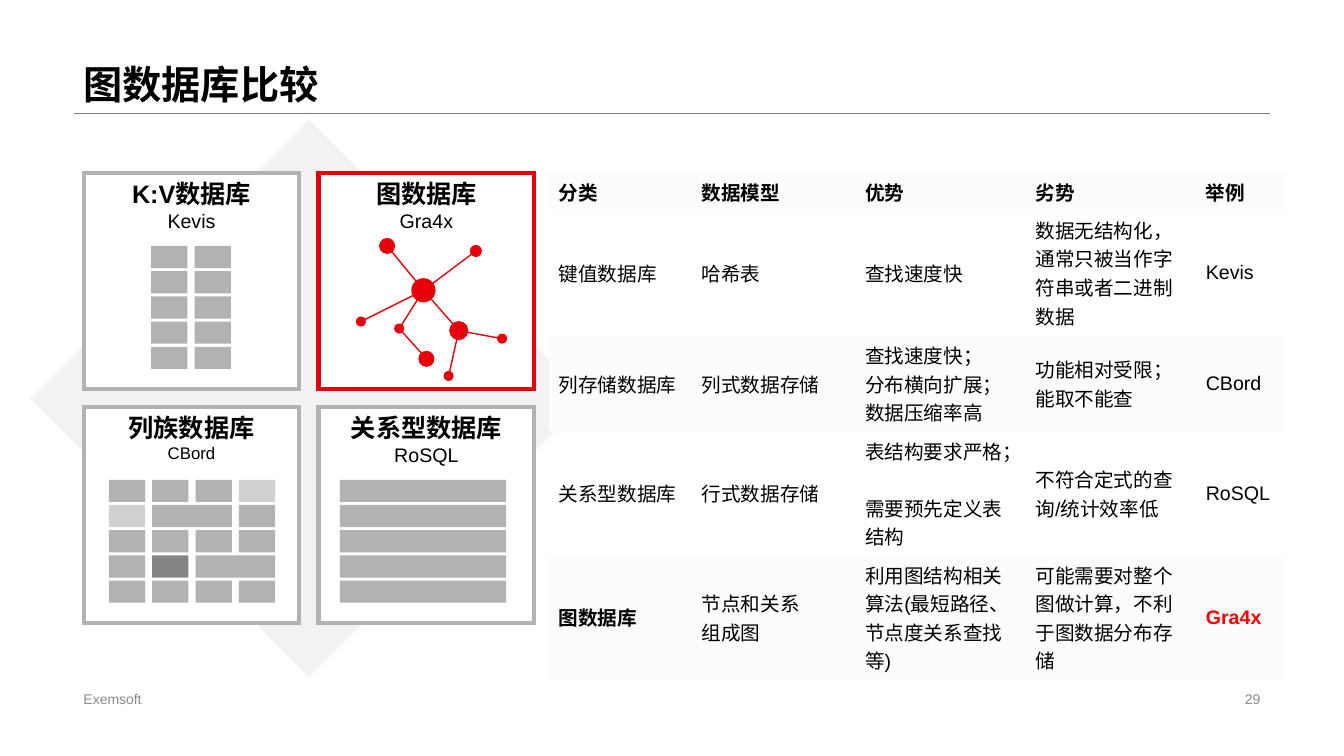
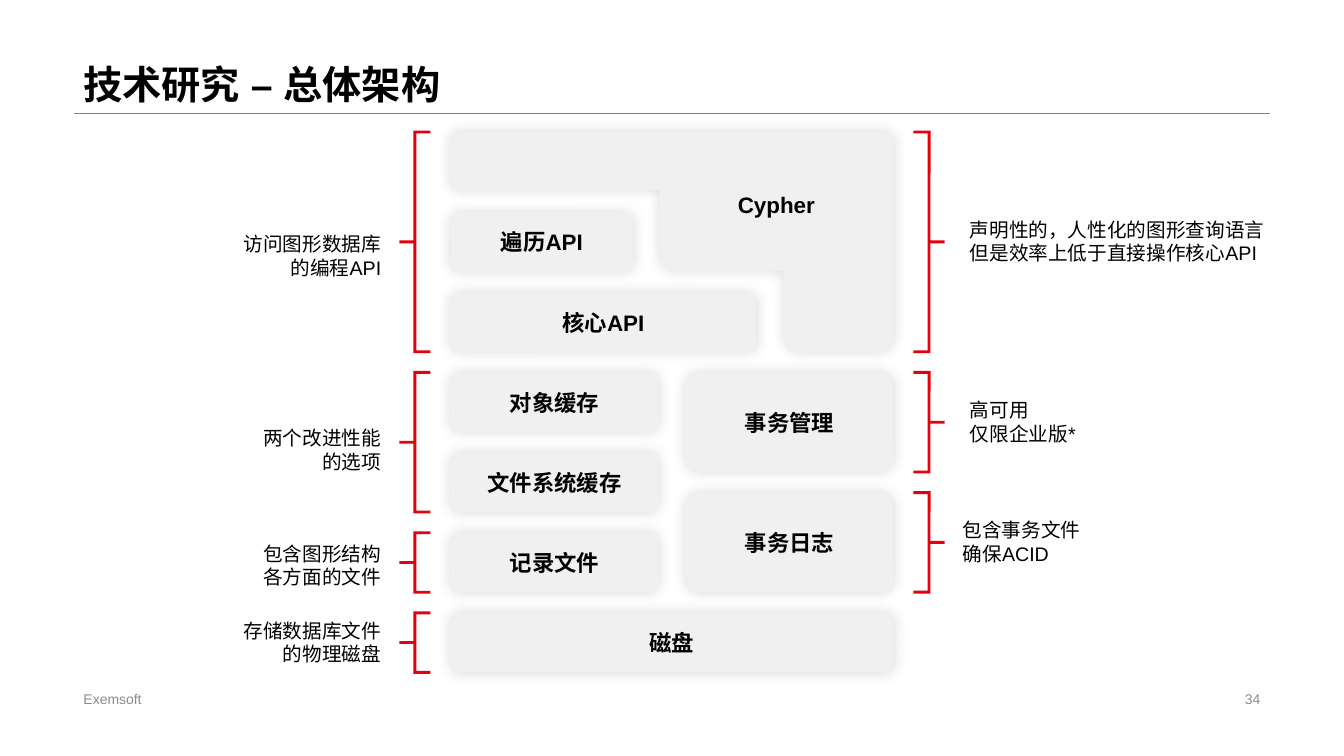
from collections import namedtuple
from math import cos, hypot, pi, sin

from lxml.etree import SubElement
from pptx import Presentation
from pptx.dml.color import RGBColor
from pptx.enum.lang import MSO_LANGUAGE_ID
from pptx.enum.shapes import MSO_CONNECTOR, MSO_SHAPE
from pptx.enum.text import MSO_ANCHOR, PP_ALIGN
from pptx.oxml.ns import qn
from pptx.util import Inches, Pt

COLORS = {
    "black": "000000", "white": "FFFFFF", "red": "E5000C", "bright_red": "FF0000",
    "rule": "808080", "footer": "8C8C8C", "backdrop": "F2F2F2", "panel": "F0F0F0",
    "band": "FCFCFC", "gray": "B2B2B2", "light": "D1D1D1", "dark": "858585",
}
FONT = "Arial"
COMPANY = "Exemsoft"
PLAIN_TABLE_STYLE = "{2D5ABB26-0587-4C30-8999-92F81FD0307C}"
Box = namedtuple("Box", "left top width height")

TITLE_BOX = Box(0.73, 0, 11.87, 1.12)
FOOTER_BOX = Box(0.73, 6.82, 4.53, 0.23)
NUMBER_BOX = Box(9.42, 6.82, 3.18, 0.23)

BLOCK_WIDTH, BLOCK_HEIGHT = 0.36, 0.22
BLOCK_PITCH_X, BLOCK_PITCH_Y = 0.43, 0.25
PLAIN = (1, "gray")
KEY_VALUE_ROWS = [[PLAIN, PLAIN]] * 5
COLUMN_FAMILY_ROWS = [
    [PLAIN, PLAIN, PLAIN, (1, "light")],
    [(1, "light"), (2, "gray"), PLAIN],
    [PLAIN] * 4,
    [PLAIN, (1, "dark"), (2, "gray")],
    [PLAIN] * 4,
]
RELATIONAL_ROWS = [[(4, "gray")]] * 5

# Centre x, centre y and diameter, inside the card
NODES = {
    "hub": (1.04, 1.16, 0.24), "junction": (1.39, 1.56, 0.19),
    "top left": (0.68, 0.72, 0.16), "top right": (1.56, 0.77, 0.12),
    "left": (0.42, 1.47, 0.1), "middle": (0.8, 1.54, 0.1),
    "lower": (1.07, 1.84, 0.16), "right": (1.82, 1.64, 0.1),
    "bottom": (1.29, 2.01, 0.1),
}
EDGES = [
    ("hub", "top left"), ("hub", "top right"), ("hub", "left"), ("hub", "middle"),
    ("hub", "junction"), ("middle", "lower"), ("junction", "right"), ("junction", "bottom"),
]

TABLE_COLUMNS = [1.42, 1.62, 1.69, 1.69, 0.89]
TABLE_HEIGHTS = [0.37, 1.25, 0.95, 1.23, 1.23]
TABLE_ROWS = [
    ["分类", "数据模型", "优势", "劣势", "举例"],
    ["键值数据库", "哈希表", "查找速度快",
     "数据无结构化，通常只被当作字符串或者二进制数据", "Kevis"],
    ["列存储数据库", "列式数据存储", "查找速度快；\v分布横向扩展；\v数据压缩率高",
     "功能相对受限；\v能取不能查", "CBord"],
    ["关系型数据库", "行式数据存储", "表结构要求严格；\v需要预先定义表结构",
     "不符合定式的查询/统计效率低", "RoSQL"],
    ["图数据库", "节点和关系\n组成图", "利用图结构相关算法(最短路径、节点度关系查找等)",
     "可能需要对整个图做计算，不利于图数据分布存储", "Gra4x"],
]

ROW_HEIGHT, ROW_COUNT = 0.59, 7


def rgb(name):
    return RGBColor.from_string(COLORS[name])


def emu(box):
    return [Inches(length) for length in box]


def add_run(paragraph, text, size, color="black", bold=False, asian_font=FONT):
    run = paragraph.add_run()
    run.text = text
    font = run.font
    font.name, font.size, font.bold = FONT, Pt(size), bold
    font.color.rgb = rgb(color)
    font.language_id = MSO_LANGUAGE_ID.SIMPLIFIED_CHINESE
    if asian_font:
        SubElement(run._r.get_or_add_rPr(), qn("a:ea"), typeface=asian_font)


def add_break(paragraph, size):
    paragraph.add_line_break()
    line_break = paragraph._p.findall(qn("a:br"))[-1]
    properties = SubElement(line_break, qn("a:rPr"), lang="zh-CN", sz=str(size * 100))
    SubElement(properties, qn("a:latin"), typeface=FONT)


def write(frame, text, size, align=PP_ALIGN.LEFT, **style):
    """Write text: a newline starts a paragraph, a vertical tab breaks the line."""
    for index, line in enumerate(text.split("\n")):
        paragraph = frame.add_paragraph() if index else frame.paragraphs[0]
        paragraph.alignment = align
        for part_index, part in enumerate(line.split("\v")):
            if part_index:
                add_break(paragraph, size)
            add_run(paragraph, part, size, **style)


def add_text(slide, box, text, size, anchor=MSO_ANCHOR.MIDDLE, **style):
    frame = slide.shapes.add_textbox(*emu(box)).text_frame
    frame.word_wrap = True
    frame.vertical_anchor = anchor
    write(frame, text, size, **style)
    return frame


def paint(shape, fill=None, line=None, width=1):
    shape.shadow.inherit = False
    if fill:
        shape.fill.solid()
        shape.fill.fore_color.rgb = rgb(fill)
    else:
        shape.fill.background()
    if line:
        shape.line.color.rgb = rgb(line)
        shape.line.width = Pt(width)
        SubElement(shape._element.spPr.find(qn("a:ln")), qn("a:miter"), lim="800000")
    else:
        shape.line.fill.background()


def add_shape(slide, kind, box, **look):
    shape = slide.shapes.add_shape(kind, *emu(box))
    paint(shape, **look)
    return shape


def add_line(slide, start, end, color, width):
    connector = slide.shapes.add_connector(MSO_CONNECTOR.STRAIGHT, *emu(start + end))
    connector.line.color.rgb = rgb(color)
    connector.line.width = Pt(width)
    SubElement(connector._element.spPr, qn("a:effectLst"))


def add_soft_shadow(shape):
    effects = shape._element.spPr.find(qn("a:effectLst"))
    shadow = SubElement(effects, qn("a:outerShdw"), blurRad=str(Pt(10)), dist="0",
                        algn="ctr", rotWithShape="0")
    color = SubElement(shadow, qn("a:srgbClr"), val=COLORS["black"])
    SubElement(color, qn("a:alpha"), val="15000")


def add_base_slide(presentation, title, number):
    slide = presentation.slides.add_slide(presentation.slide_layouts[6])
    rule_y = TITLE_BOX.top + TITLE_BOX.height
    add_line(slide, (TITLE_BOX.left, rule_y),
             (TITLE_BOX.left + TITLE_BOX.width, rule_y), "rule", 0.25)
    frame = add_text(slide, TITLE_BOX, title, 28, anchor=MSO_ANCHOR.BOTTOM, bold=True)
    frame.paragraphs[0].line_spacing = 0.9
    add_text(slide, FOOTER_BOX, COMPANY, 10, color="footer")
    add_text(slide, NUMBER_BOX, str(number), 10, color="footer", align=PP_ALIGN.RIGHT)
    return slide


def add_card(slide, box, heading, example, example_size, border="gray"):
    card = add_shape(slide, MSO_SHAPE.RECTANGLE, box, fill="white", line=border, width=3)
    frame = card.text_frame
    frame.word_wrap = True
    frame.vertical_anchor = MSO_ANCHOR.TOP
    write(frame, heading, 18, align=PP_ALIGN.CENTER, bold=True)
    paragraph = frame.add_paragraph()
    paragraph.alignment = PP_ALIGN.CENTER
    add_run(paragraph, example, example_size)


def add_blocks(slide, left, top, rows):
    """Fill a grid from rows of (columns spanned, shade)."""
    for row_index, row in enumerate(rows):
        column = 0
        for span, shade in row:
            block = Box(left + column * BLOCK_PITCH_X, top + row_index * BLOCK_PITCH_Y,
                        BLOCK_WIDTH + (span - 1) * BLOCK_PITCH_X, BLOCK_HEIGHT)
            add_shape(slide, MSO_SHAPE.RECTANGLE, block, fill=shade)
            column += span


def add_network(slide, box):
    def centre(name):
        return box.left + NODES[name][0], box.top + NODES[name][1]

    for start, end in EDGES:
        add_line(slide, centre(start), centre(end), "red", 1)
    for name, (_, _, size) in NODES.items():
        x, y = centre(name)
        add_shape(slide, MSO_SHAPE.OVAL, Box(x - size / 2, y - size / 2, size, size),
                  fill="red")


def add_database_cards(slide, box):
    add_shape(slide, MSO_SHAPE.DIAMOND, box, fill="backdrop")
    size, pitch_x, pitch_y = 2.14, 2.33, 2.32
    cards = [
        (0, 0, "K:V数据库", "Kevis", 14, 0.67, KEY_VALUE_ROWS),
        (1, 0, "图数据库", "Gra4x", 14, 0, None),
        (0, 1, "列族数据库", "CBord", 12, 0.25, COLUMN_FAMILY_ROWS),
        (1, 1, "关系型数据库", "RoSQL", 14, 0.21, RELATIONAL_ROWS),
    ]
    for column, row, heading, example, example_size, indent, blocks in cards:
        card = Box(box.left + 0.53 + column * pitch_x, box.top + 0.53 + row * pitch_y,
                   size, size)
        add_card(slide, card, heading, example, example_size, "gray" if blocks else "red")
        if blocks:
            add_blocks(slide, card.left + indent, card.top + 0.72, blocks)
        else:
            add_network(slide, card)


def add_comparison_table(slide, box):
    frame = slide.shapes.add_table(len(TABLE_ROWS), len(TABLE_COLUMNS), *emu(box))
    table = frame.table
    table.first_row = table.horz_banding = False
    next(frame._element.iter(qn("a:tableStyleId"))).text = PLAIN_TABLE_STYLE
    for column, width in zip(table.columns, TABLE_COLUMNS):
        column.width = Inches(width)
    for row, height in zip(table.rows, TABLE_HEIGHTS):
        row.height = Inches(height)
    last_row, last_column = len(TABLE_ROWS) - 1, len(TABLE_COLUMNS) - 1
    for row_index, texts in enumerate(TABLE_ROWS):
        for column_index, text in enumerate(texts):
            cell = table.cell(row_index, column_index)
            cell.vertical_anchor = MSO_ANCHOR.MIDDLE
            if row_index % 2:
                cell.fill.background()
            else:
                cell.fill.solid()
                cell.fill.fore_color.rgb = rgb("band")
            highlight = row_index == last_row and column_index == last_column
            bold = row_index == 0 or (row_index == last_row and column_index == 0)
            write(cell.text_frame, text, 14, bold=bold or highlight, asian_font=None,
                  color="bright_red" if highlight else "black")


def label_panel(shape, text):
    paint(shape, fill="panel")
    add_soft_shadow(shape)
    frame = shape.text_frame
    frame.word_wrap = True
    frame.vertical_anchor = MSO_ANCHOR.MIDDLE
    write(frame, text, 16, align=PP_ALIGN.CENTER, bold=True)
    return frame


def add_panel(slide, box, text):
    shape = slide.shapes.add_shape(MSO_SHAPE.ROUNDED_RECTANGLE, *emu(box))
    shape.adjustments[0] = 0.14
    label_panel(shape, text)


def round_corners(corners, steps=8):
    """Turn right-angled corners (x, y, radius) into outline points."""
    points = []
    for index, (x, y, radius) in enumerate(corners):
        directions = []
        for other in (corners[index - 1], corners[(index + 1) % len(corners)]):
            dx, dy = other[0] - x, other[1] - y
            length = hypot(dx, dy)
            directions.append((dx / length, dy / length))
        (ux, uy), (vx, vy) = directions
        for step in range(steps + 1 if radius else 1):
            angle = pi / 2 * step / steps
            along, across = 1 - sin(angle), 1 - cos(angle)
            points.append((x + radius * (ux * along + vx * across),
                           y + radius * (uy * along + vy * across)))
    return points


def add_cypher_panel(slide, box):
    """Draw the stepped panel that wraps around both API panels."""
    corners = [(0, 0, 0.08), (4.39, 0, 0.08), (4.39, 2.18, 0.15), (3.3, 2.18, 0.15),
               (3.3, 1.38, 0), (2.07, 1.38, 0.15), (2.07, 0.58, 0), (0, 0.58, 0.08)]
    points = [(Inches(box.left + x), Inches(box.top + y)) for x, y in round_corners(corners)]
    builder = slide.shapes.build_freeform(*points[0])
    builder.add_line_segments(points[1:], close=True)
    frame = label_panel(builder.convert_to_shape(), "Cypher")
    frame.margin_left, frame.margin_right = Inches(2.07), 0
    frame.margin_bottom = Inches(0.8)


def add_architecture(slide, box):
    pitch = (box.height - ROW_HEIGHT) / (ROW_COUNT - 1)
    gap = pitch - ROW_HEIGHT

    def rows(left, width, first, count=1):
        return Box(left, box.top + first * pitch, width, count * pitch - gap)

    half, right_half = 2.06, box.left + box.width - 2.06
    add_cypher_panel(slide, rows(box.left, box.width, 0, 3))
    for left, width, first, count, text in [
        (box.left, 1.81, 1, 1, "遍历API"),
        (box.left, 3.03, 2, 1, "核心API"),
        (box.left, half, 3, 1, "对象缓存"),
        (box.left, half, 4, 1, "文件系统缓存"),
        (box.left, half, 5, 1, "记录文件"),
        (right_half, half, 3, 1.5, "事务管理"),
        (right_half, half, 4.5, 1.5, "事务日志"),
        (box.left, box.width, 6, 1, "磁盘"),
    ]:
        add_panel(slide, rows(left, width, first, count), text)

    left_brace = (MSO_SHAPE.LEFT_BRACE, box.left - 0.51, PP_ALIGN.RIGHT)
    right_brace = (MSO_SHAPE.RIGHT_BRACE, box.left + box.width + 0.2, PP_ALIGN.LEFT)
    for (kind, left, align), first, count, text_left, drop, text in [
        (left_brace, 0, 3, 1.88, 0.14, "访问图形数据库\n的编程API"),
        (left_brace, 3, 2, 1.88, 0.08, "两个改进性能\n的选项"),
        (left_brace, 5, 1, 1.88, 0.03, "包含图形结构\n各方面的文件"),
        (left_brace, 6, 1, 1.88, 0, "存储数据库文件\n的物理磁盘"),
        (right_brace, 0, 3, 9.52, 0, "声明性的，人性化的图形查询语言\n但是效率上低于直接操作核心API"),
        (right_brace, 3, 1.5, 9.52, 0, "高可用\n仅限企业版*"),
        (right_brace, 4.5, 1.5, 9.45, 0, "包含事务文件\n确保ACID"),
    ]:
        span = rows(left, 0.31, first, count)
        brace = add_shape(slide, kind, span, line="red", width=2)
        brace.adjustments[0], brace.adjustments[1] = 0, 0.5
        width = 2 if align == PP_ALIGN.RIGHT else 3.5
        top = span.top + span.height / 2 - 0.29 + drop
        add_text(slide, Box(text_left, top, width, 0.57), text, 14, align=align)


def main():
    presentation = Presentation()
    presentation.slide_width, presentation.slide_height = Inches(13.33), Inches(7.5)
    comparison = add_base_slide(presentation, "图数据库比较", 29)
    add_database_cards(comparison, Box(0.3, 1.19, 5.53, 5.53))
    add_comparison_table(comparison, Box(5.44, 1.71, 7.32, 5.03))
    architecture = add_base_slide(presentation, "技术研究 – 总体架构", 34)
    add_architecture(architecture, Box(4.47, 1.31, 4.39, 5.36))
    presentation.save("out.pptx")


if __name__ == "__main__":
    main()
